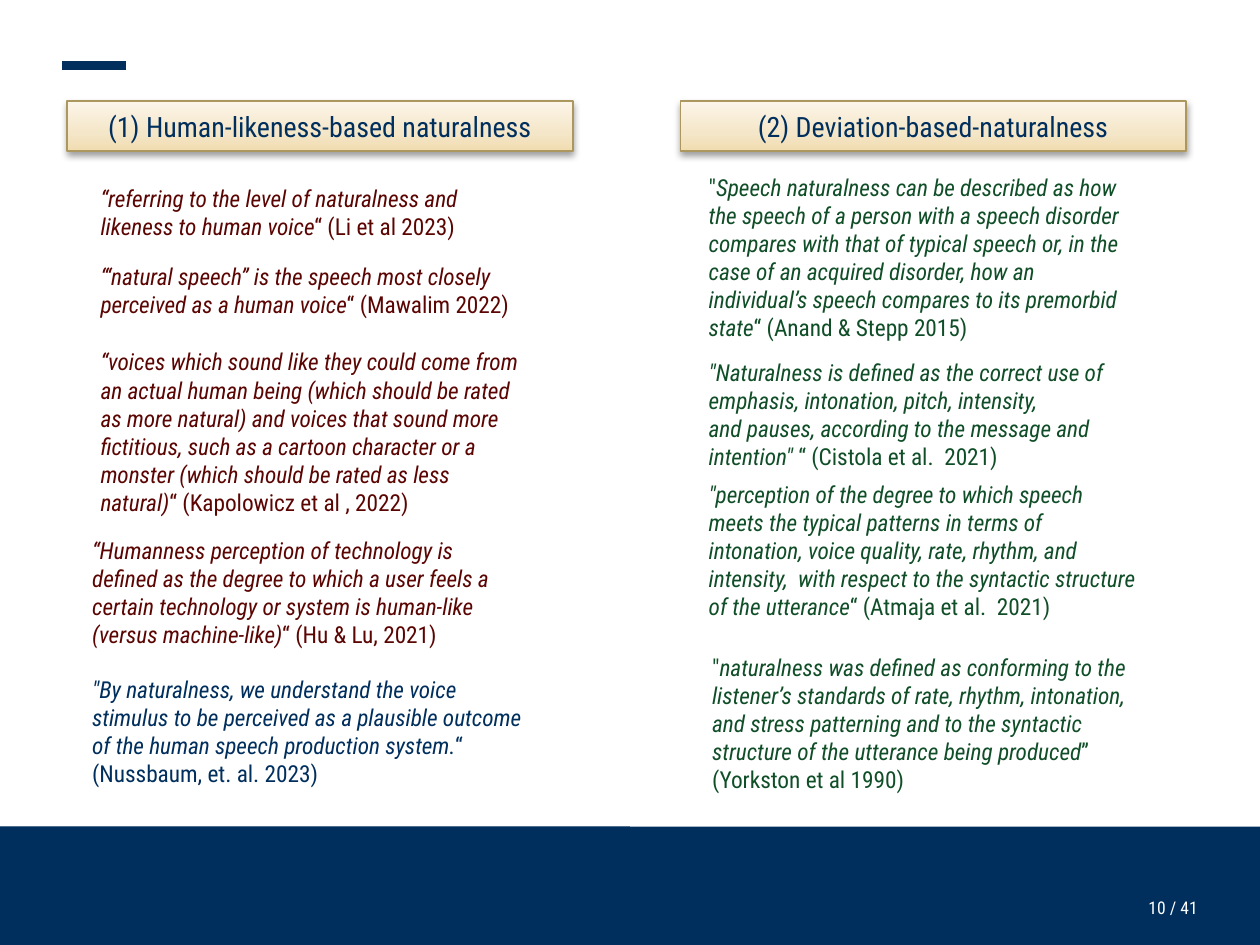
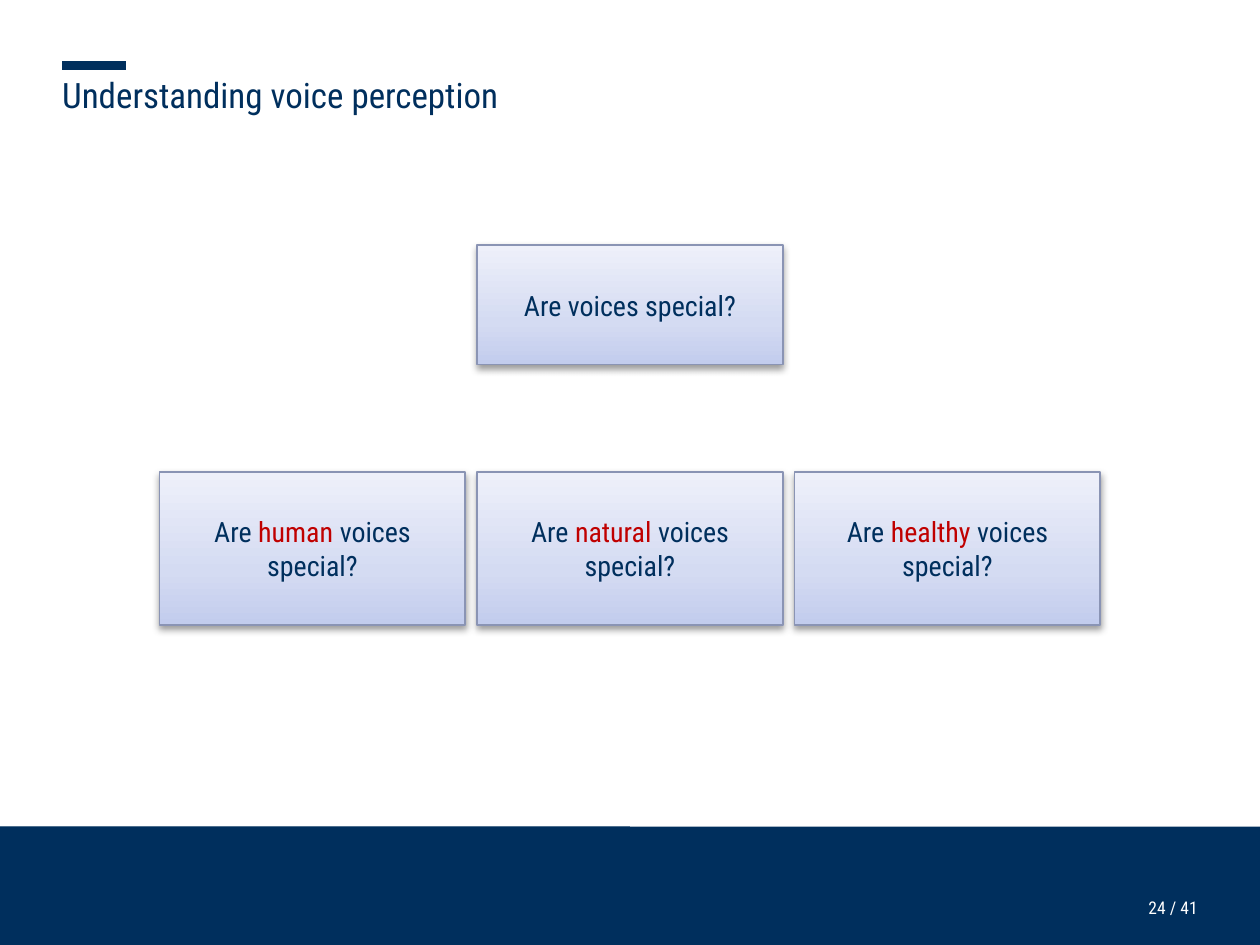
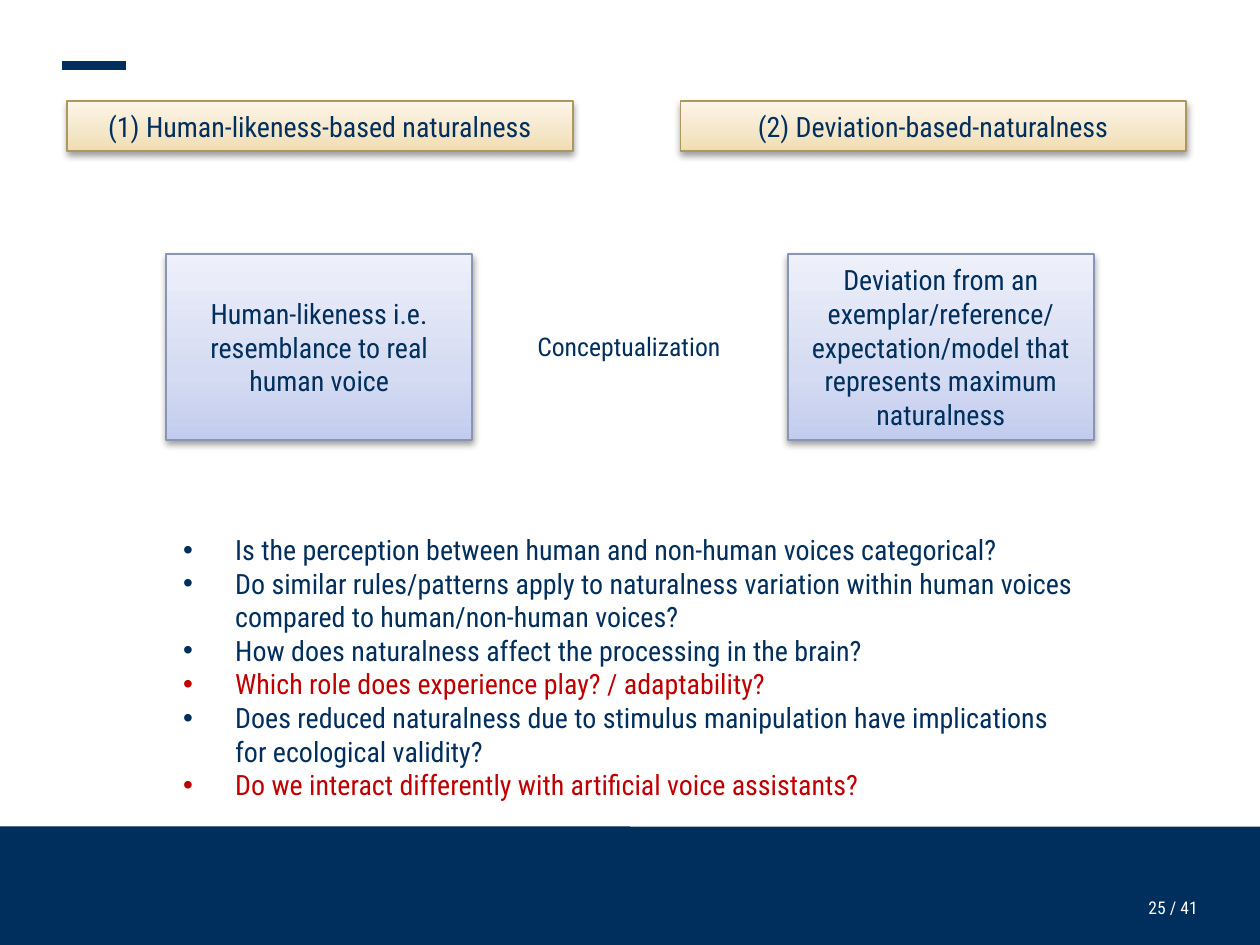
from dataclasses import dataclass

from lxml.etree import SubElement
from pptx import Presentation
from pptx.dml.color import RGBColor
from pptx.enum.shapes import MSO_CONNECTOR, MSO_SHAPE
from pptx.enum.text import MSO_ANCHOR as Anchor, MSO_AUTO_SIZE as AutoSize, PP_ALIGN as Align
from pptx.oxml.ns import qn
from pptx.util import Inches, Pt

COLUMNS, ROWS = 75, 56.25  # grid cells are a tenth of an inch
LINE_ROWS = 1.67  # height of one line of a quotation


@dataclass(frozen=True)
class Theme:
    font: str = "Roboto Condensed"
    navy: str = "002F5D"
    red: str = "C00000"
    maroon: str = "5B0503"
    green: str = "104E28"
    white: str = "FFFFFF"
    black: str = "000000"
    gold_stops: tuple = ((0, "F1DCB0"), (35, "F4E6C8"), (100, "FCF5E9"))
    gold_edge: str = "AC975F"
    blue_stops: tuple = ((0, "C2CCED"), (35, "D4DBF2"), (100, "EEF0FA"))
    blue_edge: str = "8A94B4"
    title: float = 15
    body: float = 12
    label: float = 11
    quote: float = 10
    page: float = 7.5


THEME = Theme()


@dataclass(frozen=True)
class Quote:
    """A cited definition; `lead` is set upright before the italic text."""
    column: float
    row: float
    lines: int
    colour: str
    text: str
    source: str
    lead: str = ""


QUOTES = (
    Quote(5, 10.5, 2, THEME.maroon,
          "“referring to the level of naturalness and likeness to human voice",
          "“ (Li et al 2023)"),
    Quote(5, 15.1, 2, THEME.maroon,
          "“‘natural speech’’ is the speech most closely perceived as a human voice",
          "“ (Mawalim 2022)"),
    Quote(5, 20.2, 6, THEME.maroon,
          "“voices which sound like they could come from an actual human being (which should be "
          "rated as more natural) and voices that sound more fictitious, such as a cartoon "
          "character or a monster (which should be rated as less natural)",
          "“ (Kapolowicz et al , 2022)"),
    Quote(4.5, 31.4, 4, THEME.maroon,
          "“Humanness perception of technology is defined as the degree to which a user feels a "
          "certain technology or system is human-like (versus machine-like)",
          "“ (Hu & Lu, 2021)"),
    Quote(4.5, 39.7, 4, THEME.navy,
          "\"By naturalness, we understand the voice stimulus to be perceived as a plausible "
          "outcome of the human speech production system.",
          "“ (Nussbaum, et. al. 2023)"),
    Quote(41.2, 9.8, 6, THEME.green,
          "Speech naturalness can be described as how the speech of a person with a speech "
          "disorder compares with that of typical speech or, in the case of an acquired "
          "disorder, how an individual’s speech compares to its premorbid state",
          "“ (Anand & Stepp 2015)", lead="\""),
    Quote(41.2, 20.8, 4, THEME.green,
          "\"Naturalness is defined as the correct use of emphasis, intonation, pitch, intensity,\n"
          "and pauses, according to the message and intention\" ",
          "“ (Cistola et al.  2021)"),
    Quote(41.2, 28.1, 6, THEME.green,
          "\"perception of the degree to which speech meets the typical patterns in terms of "
          "intonation, voice quality, rate, rhythm, and intensity,  with respect to the "
          "syntactic structure of the utterance",
          "“ (Atmaja et al.  2021)"),
    Quote(41.4, 38.4, 5, THEME.green,
          "naturalness was defined as conforming to the listener’s standards of rate, rhythm, "
          "intonation, and stress patterning and to the syntactic structure of the utterance "
          "being produced",
          "” (Yorkston et al 1990)", lead="\""),
)

OPEN_QUESTIONS = (
    ("Is the perception between human and non-human voices categorical?", THEME.navy),
    ("Do similar rules/patterns apply to naturalness variation within human voices compared to "
     "human/non-human voices?", THEME.navy),
    ("How does naturalness affect the processing in the brain?", THEME.navy),
    ("Which role does experience play? / adaptability?", THEME.red),
    ("Does reduced naturalness due to stimulus manipulation have implications for ecological "
     "validity?", THEME.navy),
    ("Do we interact differently with artificial voice assistants?", THEME.red),
)


def cells(*counts):
    """Turn numbers of grid cells into lengths."""
    return [Inches(count / 10) for count in counts]


def move(placeholder, *area):
    placeholder.left, placeholder.top, placeholder.width, placeholder.height = cells(*area)


def rgb(colour):
    return RGBColor.from_string(colour)


def add_run(paragraph, text, size, colour=THEME.navy, italic=False):
    run = paragraph.add_run()
    run.text = text
    font = run.font
    font.name, font.size, font.italic = THEME.font, Pt(size), italic
    font.color.rgb = rgb(colour)


def set_margins(frame, size):
    frame.margin_left = frame.margin_right = frame.margin_top = frame.margin_bottom = size


def add_text_frame(slide, *area, wrap=True):
    frame = slide.shapes.add_textbox(*cells(*area)).text_frame
    frame.word_wrap = wrap
    return frame


def add_band(slide, *area, opacity=100):
    band = slide.shapes.add_shape(MSO_SHAPE.RECTANGLE, *cells(*area))
    band.shadow.inherit = False
    band.fill.solid()
    band.fill.fore_color.rgb = rgb(THEME.navy)
    band.line.fill.background()
    if opacity < 100:
        colour = band.element.spPr.find(qn("a:solidFill"))[0]
        SubElement(colour, qn("a:alpha"), val=str(opacity * 1000))
    return band


def add_accent(slide):
    accent = slide.shapes.add_connector(MSO_CONNECTOR.STRAIGHT, *cells(3.7, 3.9, 7.5, 3.9))
    accent.line.color.rgb = rgb(THEME.navy)
    accent.line.width = Pt(3.5)
    SubElement(accent.element.spPr, qn("a:effectLst"))
    return accent


def furnish_layout(layout, slide):
    """Draw the shared parts on a slide, then hand them to its layout."""
    shared = (add_band(slide, 0, 49.2, COLUMNS, ROWS - 49.2),
              add_band(slide, 0, 49.2, COLUMNS / 2, 0.4, opacity=80),
              add_accent(slide))
    for number, part in enumerate(shared, start=20):
        part.element.xpath(".//p:cNvPr")[0].set("id", str(number))
        layout.shapes.element.append(part.element)


def add_page_number(slide, number):
    frame = add_text_frame(slide, 28.9, 53.4, 42.4, 1.7)
    set_margins(frame, 0)
    frame.paragraphs[0].alignment = Align.RIGHT
    add_run(frame.paragraphs[0], f"{number} / 41", THEME.page, THEME.white)


def add_card(slide, area, runs, stops, edge):
    """A shaded box with a soft shadow and centred text."""
    card = slide.shapes.add_shape(MSO_SHAPE.RECTANGLE, *cells(*area))
    card.fill.gradient()
    card.fill.gradient_angle = 90
    stop_list = card.element.spPr.find(qn("a:gradFill")).find(qn("a:gsLst"))
    for old_stop in list(stop_list):
        stop_list.remove(old_stop)
    for position, colour in stops:
        stop = SubElement(stop_list, qn("a:gs"), pos=str(position * 1000))
        SubElement(stop, qn("a:srgbClr"), val=colour)
    card.line.color.rgb = rgb(edge)
    card.line.width = Pt(0.75)
    card.shadow.inherit = False
    shadow = SubElement(card.element.spPr.find(qn("a:effectLst")), qn("a:outerShdw"),
                        blurRad=str(Pt(3.1)), dist=str(Pt(1.6)), dir="5400000", rotWithShape="0")
    shade = SubElement(shadow, qn("a:srgbClr"), val=THEME.black)
    SubElement(shade, qn("a:alpha"), val="38000")
    frame = card.text_frame
    frame.word_wrap = True
    frame.vertical_anchor = Anchor.MIDDLE
    frame.paragraphs[0].alignment = Align.CENTER
    for text, colour in runs:
        add_run(frame.paragraphs[0], text, THEME.body, colour)


def add_blue_card(slide, column, row, height, *runs):
    add_card(slide, (column, row, 18.2, height), runs, THEME.blue_stops, THEME.blue_edge)


def add_concept_headers(slide):
    headers = "(1) Human-likeness-based naturalness", "(2) Deviation-based-naturalness"
    for index, header in enumerate(headers):
        add_card(slide, (4 + index * 36.5, 6, 30.1, 3), [(header, THEME.navy)],
                 THEME.gold_stops, THEME.gold_edge)


def add_quote(slide, quote):
    frame = add_text_frame(slide, quote.column, quote.row, 27.5, 1 + quote.lines * LINE_ROWS)
    paragraph = frame.paragraphs[0]
    if quote.lead:
        add_run(paragraph, quote.lead, THEME.quote, quote.colour)
    for index, part in enumerate(quote.text.split("\n")):
        if index:
            paragraph = frame.add_paragraph()
        add_run(paragraph, part, THEME.quote, quote.colour, italic=True)
    add_run(paragraph, quote.source, THEME.quote, quote.colour)


def set_title(slide, text):
    title = slide.shapes.title
    move(title, 3.7, 4.4, 53.2, 3)
    frame = title.text_frame
    set_margins(frame, 0)
    frame.auto_size = AutoSize.NONE
    frame.vertical_anchor = Anchor.TOP
    frame.paragraphs[0].alignment = Align.LEFT
    add_run(frame.paragraphs[0], text, THEME.title)


def set_bullets(slide, items, *area):
    body = slide.placeholders[1]
    move(body, *area)
    frame = body.text_frame
    frame.auto_size = AutoSize.NONE
    indent = Inches(0.31)
    for index, (text, colour) in enumerate(items):
        paragraph = frame.add_paragraph() if index else frame.paragraphs[0]
        properties = paragraph._p.get_or_add_pPr()
        properties.set("marL", str(indent))
        properties.set("indent", str(-indent))
        SubElement(properties, qn("a:buFont"), typeface="Arial")
        SubElement(properties, qn("a:buChar"), char="•")
        paragraph.space_before = Pt(0)
        add_run(paragraph, text, THEME.body, colour)


def drop_empty_placeholders(slide):
    for placeholder in list(slide.placeholders):
        if not placeholder.text_frame.text:
            placeholder.element.getparent().remove(placeholder.element)


def build_definitions(slide):
    add_concept_headers(slide)
    for quote in QUOTES:
        add_quote(slide, quote)


def build_perception(slide):
    set_title(slide, "Understanding voice perception")
    first_column, step = 9.5, 18.9
    add_blue_card(slide, first_column + step, 14.6, 7.1, ("Are voices special?", THEME.navy))
    for index, kind in enumerate(("human", "natural", "healthy")):
        add_blue_card(slide, first_column + index * step, 28.1, 9.1, ("Are ", THEME.navy),
                      (kind, THEME.red), (" voices special?", THEME.navy))


def build_conceptualization(slide):
    add_concept_headers(slide)
    concepts = ("Human-likeness i.e. resemblance to real human voice",
                "Deviation from an exemplar/reference/ expectation/model that represents "
                "maximum naturalness")
    for index, concept in enumerate(concepts):
        add_blue_card(slide, 9.9 + index * 37, 15.1, 11.1, (concept, THEME.navy))
    label = add_text_frame(slide, 31, 19.2, 13, 2.9, wrap=False)
    add_run(label.paragraphs[0], "Conceptualization", THEME.label)
    set_bullets(slide, OPEN_QUESTIONS, 9.9, 31.2, 55.2, 17.2)


def main():
    deck = Presentation()
    deck.slide_width, deck.slide_height = cells(COLUMNS, ROWS)
    layout = deck.slide_layouts[1]
    pages = ((10, build_definitions), (24, build_perception), (25, build_conceptualization))
    for index, (number, build) in enumerate(pages):
        slide = deck.slides.add_slide(layout)
        if index == 0:
            furnish_layout(layout, slide)
        add_page_number(slide, number)
        build(slide)
        drop_empty_placeholders(slide)
    deck.save("out.pptx")


if __name__ == "__main__":
    main()
